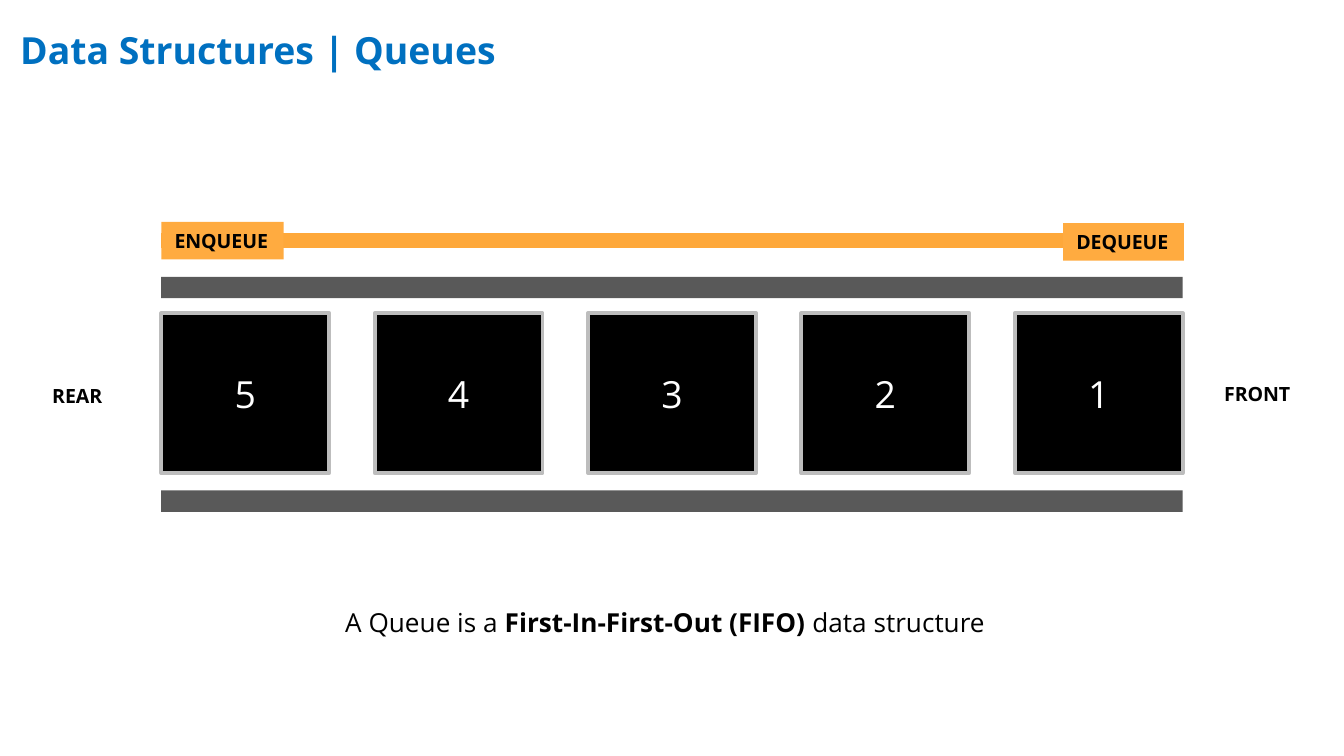
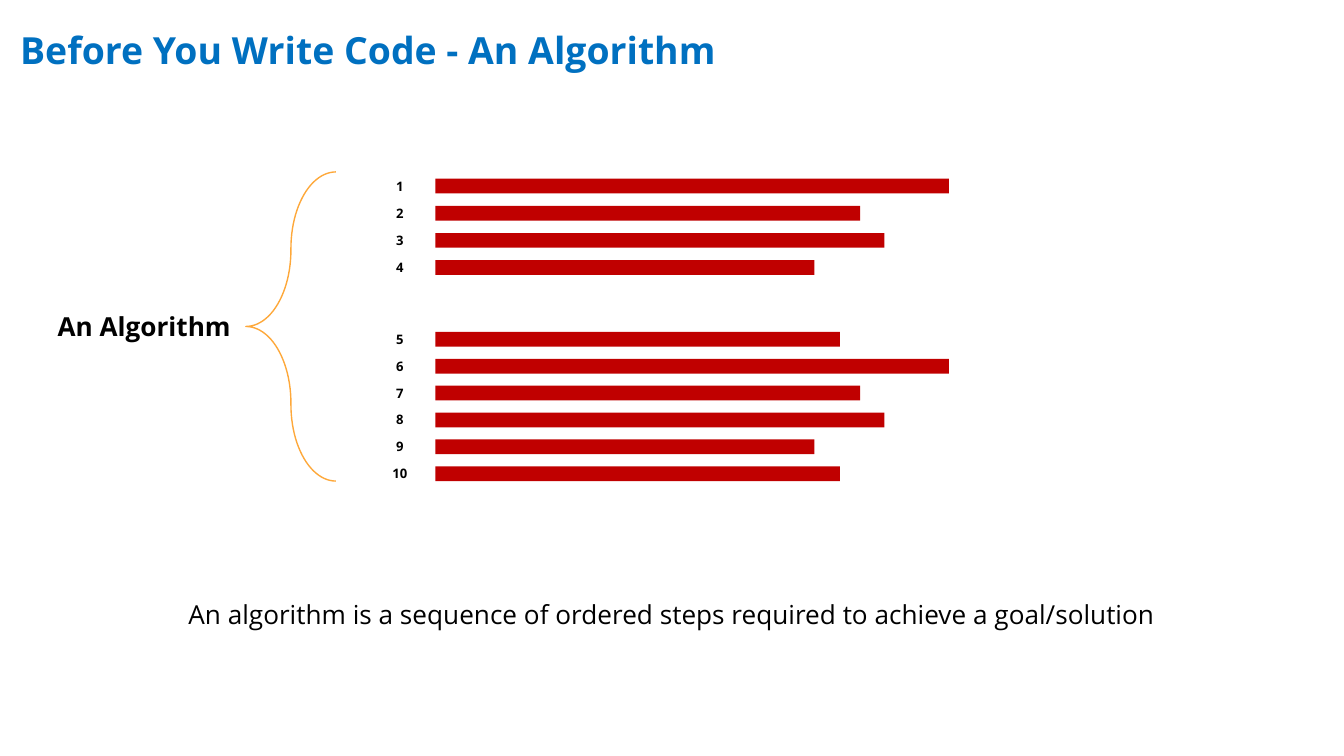
from lxml.etree import SubElement
from pptx import Presentation
from pptx.dml.color import RGBColor
from pptx.enum.shapes import MSO_CONNECTOR, MSO_SHAPE
from pptx.enum.text import MSO_ANCHOR, MSO_AUTO_SIZE, PP_ALIGN
from pptx.oxml.ns import qn
from pptx.util import Inches, Pt

FONT = "Open Sans"
BLUE, BLACK, WHITE = "0070C0", "000000", "FFFFFF"
RAIL, BORDER, RED = "595959", "BDBDBD", "C00000"
TAG, ORANGE = "FFAB40", "FEA83A"
COLUMNS = 100
TITLE_ONLY = 5


def rgb(value):
    """Turn a hex string into a colour."""
    return RGBColor.from_string(value)


def assign(target, values):
    """Set each named attribute on the target."""
    for name, value in values.items():
        setattr(target, name, value)


class Deck:
    """Hold the shared style and draw on the current slide's square grid."""

    def __init__(self):
        """Open a wide presentation with 100 grid columns."""
        self.prs = Presentation()
        self.prs.slide_width = Inches(10)
        self.prs.slide_height = self.prs.slide_width * 9 // 16
        self.cell = self.prs.slide_width // COLUMNS
        self.s = None

    def grid(self, *cells):
        """Convert grid cells to lengths."""
        return [round(c * self.cell) for c in cells]

    def slide(self, title):
        """Start a slide with the shared title style."""
        self.s = self.prs.slides.add_slide(self.prs.slide_layouts[TITLE_ONLY])
        sp = self.s.shapes.title
        assign(sp, dict(zip(("left", "top", "width", "height"), self.grid(0.5, 1, 87, 5.1))))
        inset = self.cell
        frame = dict(margin_left=inset, margin_right=inset, margin_top=inset,
                     margin_bottom=inset, vertical_anchor=MSO_ANCHOR.TOP,
                     auto_size=MSO_AUTO_SIZE.NONE)
        self.fill_text(sp, [(title, True)], 20, BLUE, PP_ALIGN.LEFT, **frame)

    def fill_text(self, sp, runs, size, color=BLACK, align=PP_ALIGN.LEFT, **frame):
        """Fill a shape with one paragraph of (text, bold) runs."""
        tf = sp.text_frame
        assign(tf, frame)
        p = tf.paragraphs[0]
        p.alignment = align
        for text, bold in runs:
            r = p.add_run()
            r.text = text
            assign(r.font, dict(name=FONT, size=Pt(size), bold=bold))
            r.font.color.rgb = rgb(color)

    def text(self, box, runs, size, align=PP_ALIGN.LEFT, wrap=False):
        """Add a text box that grows with its text."""
        sp = self.s.shapes.add_textbox(*self.grid(*box))
        self.fill_text(sp, runs, size, align=align, word_wrap=wrap,
                       auto_size=MSO_AUTO_SIZE.SHAPE_TO_FIT_TEXT)

    def shape(self, box, fill=None, line=None, width=1, kind=MSO_SHAPE.RECTANGLE):
        """Add a flat preset shape."""
        sp = self.s.shapes.add_shape(kind, *self.grid(*box))
        sp.shadow.inherit = False
        for part, color in ((sp.fill, fill), (sp.line.fill, line)):
            if color:
                part.solid()
                part.fore_color.rgb = rgb(color)
            else:
                part.background()
        if line:
            sp.line.width = Pt(width)
        return sp

    def tag(self, box, label):
        """Add a filled label for a queue operation."""
        self.fill_text(self.shape(box, TAG), [(label, True)], 10.5, word_wrap=False,
                       auto_size=MSO_AUTO_SIZE.SHAPE_TO_FIT_TEXT)

    def line(self, ends, color, width):
        """Add a straight line."""
        sp = self.s.shapes.add_connector(MSO_CONNECTOR.STRAIGHT, *self.grid(*ends))
        sp.line.color.rgb = rgb(color)
        sp.line.width = Pt(width)
        SubElement(sp._element.spPr, qn("a:effectLst"))

    def brace(self, box):
        """Add the left brace that groups the steps."""
        sp = self.shape(box, line=ORANGE, width=0.75, kind=MSO_SHAPE.LEFT_BRACE)
        sp.adjustments[0] = 0.85


def queue_slide(deck):
    """Draw the queue with its five items."""
    deck.slide("Data Structures | Queues")
    left, span, item = 12, 76, 12.5
    for top in (20.6, 36.5):
        deck.shape((left, top, span, 1.6), RAIL)
    pitch = (span - item) / 4
    for i in range(5):
        sp = deck.shape((left + i * pitch, 23.3, item, 11.9), BLACK, BORDER, 2)
        deck.fill_text(sp, [(str(5 - i), False)], 20, WHITE, PP_ALIGN.CENTER,
                       vertical_anchor=MSO_ANCHOR.MIDDLE)
    deck.text((24.7, 44.6, 50.5, 3.4), [("A Queue is a ", False),
              ("First-In-First-Out (FIFO) ", True), ("data structure", False)], 14)
    deck.line((left, 17.9, left + span, 17.9), ORANGE, 8)
    deck.text((2.9, 28.1, 5.8, 2.9), [("REAR", True)], 10.5)
    deck.text((90.1, 27.9, 7, 2.8), [("FRONT", True)], 10.5)
    deck.tag((left, 16.5, 9.1, 2.8), "ENQUEUE")
    deck.tag((79.1, 16.6, 9, 2.8), "DEQUEUE")


def algorithm_slide(deck):
    """Draw the ten numbered steps of an algorithm."""
    deck.slide("Before You Write Code - An Algorithm")
    lengths = (38.2, 31.6, 33.4, 28.2, 30.1)
    for i in range(10):
        top = 13.3 + 2.02 * i if i < 4 else 24.7 + 2 * (i - 4)
        deck.shape((32.4, top, lengths[i % 5], 1.1), RED)
        deck.text((28.2, top - 0.55, 3.1, 2.2), [(str(i + 1), True)], 7, PP_ALIGN.CENTER)
    deck.text((6.5, 44, 87, 3.4), [("An algorithm is a sequence of ordered steps "
              "required to achieve a goal/solution", False)], 14, PP_ALIGN.CENTER, True)
    deck.text((3.3, 22.6, 15, 3.4), [("An Algorithm", True)], 14)
    deck.brace((18.3, 12.8, 6.7, 23))


def main():
    """Build and save both slides."""
    deck = Deck()
    queue_slide(deck)
    algorithm_slide(deck)
    deck.prs.save("out.pptx")


if __name__ == "__main__":
    main()
